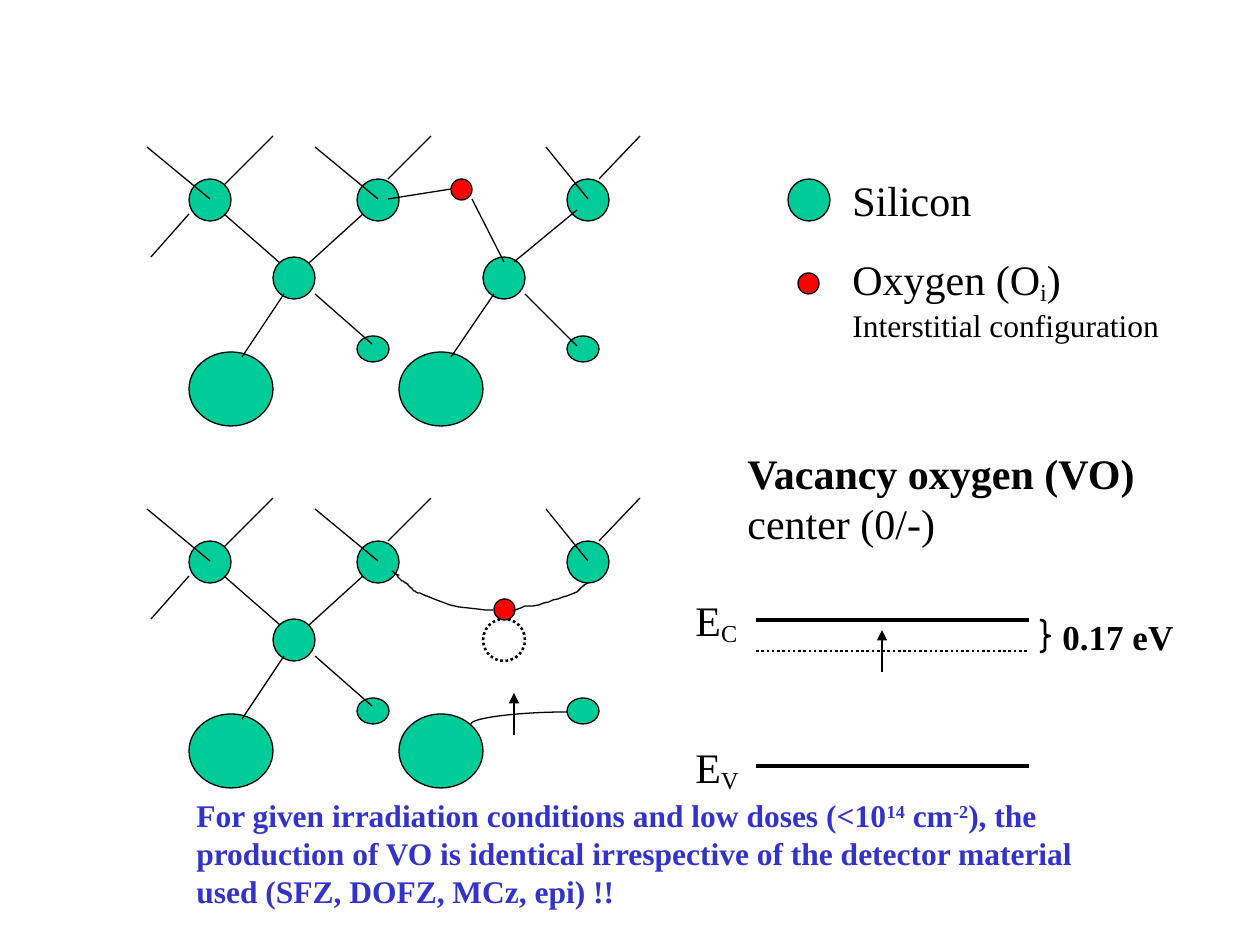
from lxml import etree
from pptx import Presentation
from pptx.dml.color import RGBColor
from pptx.enum.dml import MSO_LINE
from pptx.enum.shapes import MSO_CONNECTOR, MSO_SHAPE
from pptx.enum.text import MSO_AUTO_SIZE
from pptx.oxml.ns import qn
from pptx.util import Emu, Pt

OVAL = MSO_SHAPE.OVAL
BRACE = MSO_SHAPE.RIGHT_BRACE
LINE = MSO_CONNECTOR.STRAIGHT
CURVE = MSO_CONNECTOR.CURVE
DOTS = MSO_LINE.ROUND_DOT
GROW = MSO_AUTO_SIZE.SHAPE_TO_FIT_TEXT

SCALE = 914400 / 126
FONT = "Times New Roman"
HEX = {"ink": "000000", "silicon": "00CC99", "oxygen": "FF0000", "note": "3333CC"}

ATOM, BIG, SMALL, OXY = (42, 42), (84, 74), (32, 26), (21, 21)
DROP = 362
ATOMS = [
    (273, 257, ATOM), (189, 352, BIG), (357, 336, SMALL), (189, 179, ATOM),
    (357, 179, ATOM), (399, 352, BIG), (567, 179, ATOM), (567, 336, SMALL),
]
BONDS = [
    (315, 294, 372, 344), (224, 185, 273, 136), (189, 214, 151, 257),
    (224, 214, 280, 263), (309, 263, 363, 214), (242, 357, 284, 294),
    (315, 147, 378, 199), (388, 179, 431, 136), (147, 147, 210, 199),
    (546, 147, 588, 199), (599, 179, 640, 136),
]
OXY_BONDS = [
    (451, 357, 494, 294), (388, 199, 451, 189), (472, 199, 504, 262),
    (514, 262, 577, 210), (525, 294, 577, 346),
]
LEFT_BOND = [
    (392, 571), (408, 582), (388, 567), (402, 581), (404, 582), (407, 583),
    (408, 585), (411, 587), (412, 590), (415, 591), (418, 593), (427, 596),
    (427, 596), (444, 606), (474, 610), (493, 610),
]
RIGHT_BOND = [
    (513, 611), (529, 605), (520, 607), (539, 605), (552, 601), (564, 597),
    (577, 592), (585, 585), (581, 587), (588, 583),
]


def px(*nums):
    return [Emu(round(n * SCALE)) for n in nums]


def rgb(name):
    return RGBColor.from_string(HEX[name])


def stroke(item, width, dash=None):
    item.line.color.rgb = rgb("ink")
    item.line.width = Pt(width)
    if dash is not None:
        item.line.dash_style = dash


def shape(slide, kind, x, y, size, fill=None, width=0.75, dash=None):
    item = slide.shapes.add_shape(kind, *px(x, y, *size))
    item.shadow.inherit = False
    if fill:
        item.fill.solid()
        item.fill.fore_color.rgb = rgb(fill)
    else:
        item.fill.background()
    stroke(item, width, dash)
    return item


def line(slide, ends, width=0.75, dash=None, head=False, kind=LINE):
    item = slide.shapes.add_connector(kind, *px(*ends))
    stroke(item, width, dash)
    props = item._element.spPr
    if head:
        tip = etree.SubElement(item.line._get_or_add_ln(), qn("a:tailEnd"))
        tip.set("type", "triangle")
    etree.SubElement(props, qn("a:effectLst"))
    return item


def arc(slide, ends):
    item = line(slide, ends, kind=CURVE)
    item._element.spPr.find(qn("a:prstGeom")).set("prst", "curvedConnector2")


def bend(slide, knots, steps=8):
    dots = []
    for i in range(0, len(knots) - 1, 3):
        a, b, c, d = knots[i:i + 4]
        for n in range(1, steps + 1):
            t = n / steps
            u = 1 - t
            dots.append(tuple(
                u**3 * p + 3 * u * u * t * q + 3 * u * t * t * r + t**3 * s
                for p, q, r, s in zip(a, b, c, d)
            ))
    pen = slide.shapes.build_freeform(*knots[0], scale=SCALE)
    pen.add_line_segments(dots, close=False)
    item = pen.convert_to_shape()
    item.shadow.inherit = False
    item.fill.background()
    stroke(item, 0.75)


def text(slide, box, *paras, size=24, bold=False, color="ink"):
    item = slide.shapes.add_textbox(*px(*box))
    frame = item.text_frame
    frame.word_wrap = True
    frame.auto_size = GROW
    for i, runs in enumerate(paras):
        para = frame.paragraphs[0] if i == 0 else frame.add_paragraph()
        for words, form in runs:
            run = para.add_run()
            run.text = words
            font = run.font
            font.name = FONT
            font.size = Pt(form.get("size", size))
            font.bold = form.get("bold", bold)
            font.color.rgb = rgb(color)
            if "base" in form:
                run._r.get_or_add_rPr().set("baseline", str(form["base"] * 1000))


def lattice(slide, drop):
    for x, y, size in ATOMS:
        shape(slide, OVAL, x, y + drop, size, "silicon")
    for a, b, c, d in BONDS:
        line(slide, (a, b + drop, c, d + drop))


def oxide(slide):
    lattice(slide, 0)
    shape(slide, OVAL, 483, 257, ATOM, "silicon")
    for ends in OXY_BONDS:
        line(slide, ends)
    shape(slide, OVAL, 451, 179, OXY, "oxygen")


def vacancy(slide):
    lattice(slide, DROP)
    shape(slide, OVAL, 483, 257 + DROP, ATOM, width=1.5, dash=DOTS)
    shape(slide, OVAL, 494, 599, OXY, "oxygen")
    bend(slide, LEFT_BOND)
    bend(slide, RIGHT_BOND)
    arc(slide, (567, 712, 471, 724))
    line(slide, (514, 735, 514, 693), head=True)


def legend(slide):
    shape(slide, OVAL, 788, 179, ATOM, "silicon")
    text(slide, (840, 168, 168, 63), [("Silicon", {})])
    shape(slide, OVAL, 798, 273, OXY, "oxygen")
    text(slide, (840, 247, 343, 103),
         [("Oxygen (O", {}), ("i", {"base": -14}), (")", {})],
         [("Interstitial configuration", {"size": 18})])


def levels(slide):
    text(slide, (735, 441, 420, 113),
         [("Vacancy oxygen (VO)", {"bold": True}), (" center (0/-)", {})])
    for y in (620, 766):
        line(slide, (756, y, 1029, y), width=2.25)
    line(slide, (756, 651, 1029, 651), width=1.5, dash=DOTS)
    for mark, y, w, h in (("C", 588, 84, 66), ("V", 735, 93, 118)):
        text(slide, (683, y, w, h), [("E", {}), (mark, {"base": -14})])
    line(slide, (882, 672, 882, 630), head=True)
    brace = shape(slide, BRACE, 1040, 620, (10, 32), width=1.5)
    brace.adjustments[0] = 0.25
    text(slide, (1050, 609, 147, 55), [("0.17 eV", {})], size=20, bold=True)


def main():
    deck = Presentation()
    deck.slide_width, deck.slide_height = px(1260, 945)
    slide = deck.slides.add_slide(deck.slide_layouts[6])
    oxide(slide)
    legend(slide)
    vacancy(slide)
    levels(slide)
    text(slide, (184, 790, 942, 126), [
        ("For given irradiation conditions and low doses (<10", {}),
        ("14", {"base": 30}), (" cm", {}), ("-2", {"base": 30}),
        ("), the production of VO is identical irrespective of the detector "
         "material used (SFZ, DOFZ, MCz, epi) !!", {}),
    ], size=18, bold=True, color="note")
    deck.save("out.pptx")


if __name__ == "__main__":
    main()
